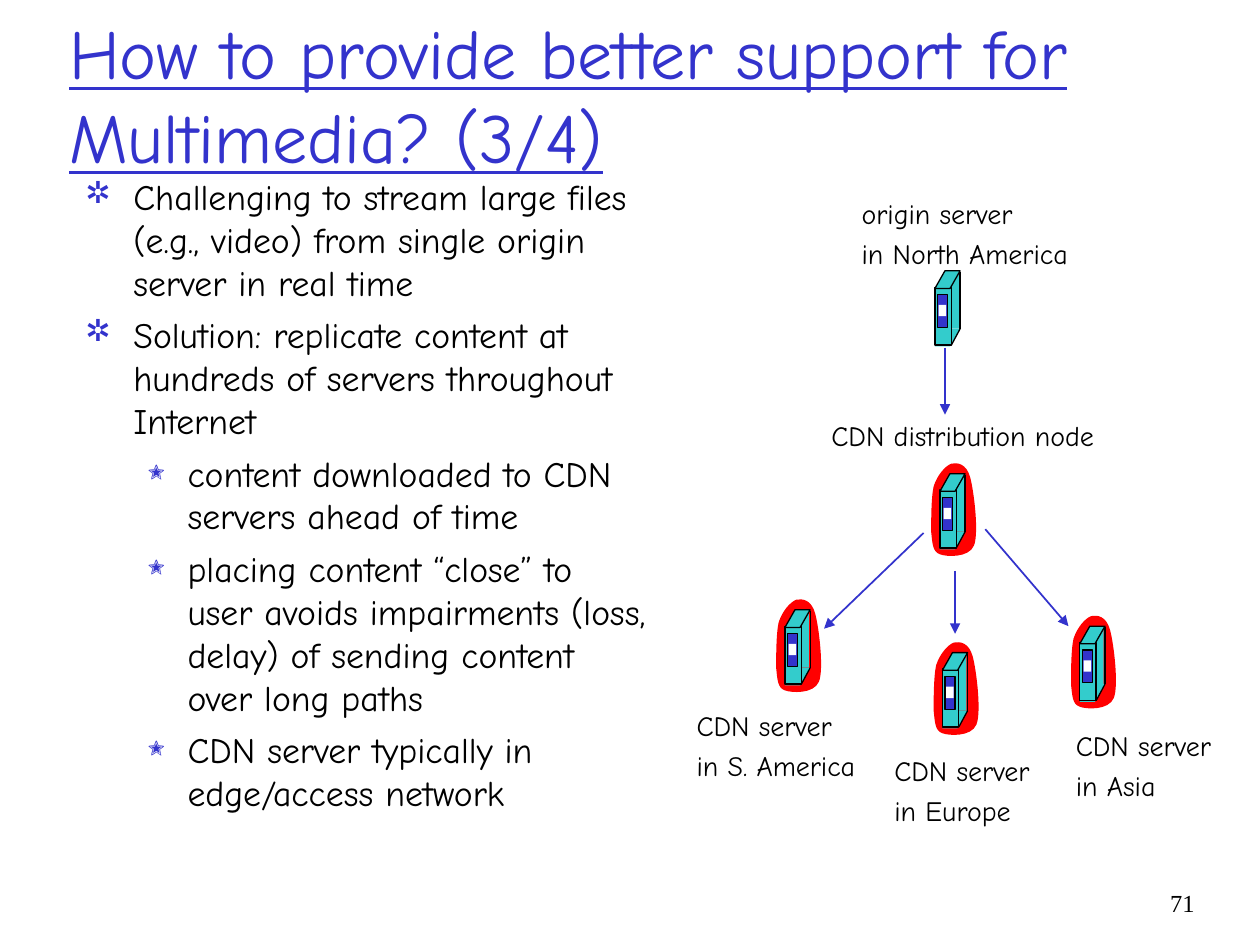
from lxml import etree
from pptx import Presentation
from pptx.dml.color import RGBColor
from pptx.enum import shapes, text
from pptx.oxml.ns import qn
from pptx.util import Inches, Pt

BLUE = RGBColor(0x33, 0x33, 0xCC)
TEAL = RGBColor(0x33, 0xCC, 0xCC)
RED = RGBColor(0xFF, 0, 0)
BLACK = RGBColor(0, 0, 0)
WHITE = RGBColor(0xFF, 0xFF, 0xFF)
FONT = "Comic Neue"

# Content
TITLE = "How to provide better support for Multimedia? (3/4)"
BULLETS = [  # level, text
    (0, "Challenging to stream large files (e.g., video) from single origin server in real time"),
    (0, "Solution: replicate content at hundreds of servers throughout Internet"),
    (1, "content downloaded to CDN servers ahead of time"),
    (1, "placing content “close” to user avoids impairments (loss, delay) of sending content "
        "over long paths"),
    (1, "CDN server typically in edge/access network"),
]
LEVELS = [  # character, size in percent, left margin, hanging indent
    ("❒", 85, 0.38, 0.38),
    ("❍", 75, 0.81, 0.31),
]
LABELS = [  # lines, left, top, width, height
    (["origin server", "in North America"], 6.74, 1.51, 1.86, 0.69),
    (["CDN distribution node"], 6.5, 3.27, 2.31, 0.37),
    (["CDN server", "in S. America"], 5.43, 5.57, 1.48, 0.69),
    (["CDN server", "in Europe"], 7, 5.93, 1.3, 0.69),
    (["CDN server", "in Asia"], 8.44, 5.73, 1.3, 0.69),
]
SERVERS = [  # left, top, has red halo
    (7.42, 2.15, False),
    (6.23, 4.84, True),
    (7.48, 5.18, True),
    (8.57, 4.97, True),
    (7.46, 3.76, True),
]
ARROWS = [  # from x, y, to x, y
    (7.5, 2.76, 7.5, 3.29),
    (7.33, 4.23, 6.54, 4.99),
    (7.58, 4.53, 7.58, 5.03),
    (7.82, 4.2, 8.48, 4.97),
]

# Server icon, measured from its top left corner
SLANT, RECT = shapes.MSO_SHAPE.PARALLELOGRAM, shapes.MSO_SHAPE.RECTANGLE
FACES = [  # shape, left, top, width, height, fill, outlined
    (SLANT, 0, 0.46, 0.2, 0.14, TEAL, False),
    (RECT, 0.1, 0, 0.09, 0.46, TEAL, False),
    (RECT, 0, 0.13, 0.13, 0.46, TEAL, True),
    (SLANT, 0, 0, 0.2, 0.14, TEAL, True),
]
EDGES = [(0.2, 0.01, 0.2, 0.46), (0.2, 0.46, 0.13, 0.59)]
PANEL = [
    (RECT, 0.02, 0.19, 0.08, 0.26, BLUE, True),
    (RECT, 0.03, 0.27, 0.06, 0.09, WHITE, False),
]
HALO_START = (-0.05, 0.1)
HALO_CURVES = [  # two control points and an end point per line
    (-0.02, 0.01), (0.04, -0.06), (0.09, -0.08),
    (0.14, -0.09), (0.21, -0.08), (0.24, 0.03),
    (0.27, 0.14), (0.31, 0.47), (0.27, 0.57),
    (0.23, 0.67), (0.05, 0.66), (0, 0.64),
    (-0.06, 0.62), (-0.06, 0.55), (-0.07, 0.46),
    (-0.07, 0.37), (-0.07, 0.19), HALO_START,
]


def write(para, words, size, color=BLACK, font=FONT, underline=None, before=0,
          align=text.PP_ALIGN.LEFT):
    span = para.add_run()
    span.text = words
    span.font.size, span.font.name = Pt(size), font
    span.font.color.rgb, span.font.underline = color, underline
    para.space_before, para.alignment = Pt(before), align


def write_lines(frame, lines, size, before):
    for i, line in enumerate(lines):
        para = frame.add_paragraph() if i else frame.paragraphs[0]
        write(para, line, size, before=before if i else 0)


def add_bullet(para, level):
    char, percent, margin, hang = LEVELS[level]
    para.level = level
    props = para._p.get_or_add_pPr()
    props.set("marL", str(Inches(margin)))
    props.set("indent", str(Inches(-hang)))
    color = etree.SubElement(props, qn("a:buClr"))
    etree.SubElement(color, qn("a:srgbClr"), val=str(BLUE))
    etree.SubElement(props, qn("a:buSzPct"), val=str(percent * 1000))
    etree.SubElement(props, qn("a:buFont"), typeface="ZapfDingbats")
    etree.SubElement(props, qn("a:buChar"), char=char)


def paint(shape, fill, outlined=False):
    shape.shadow.inherit = False
    shape.fill.solid()
    shape.fill.fore_color.rgb = fill
    if outlined:
        shape.line.color.rgb, shape.line.width = BLACK, Pt(0.75)
    else:
        shape.line.fill.background()


def add_line(parent, ends, color, width, arrow=False):
    line = parent.add_connector(shapes.MSO_CONNECTOR.STRAIGHT, *map(Inches, ends))
    line.line.color.rgb, line.line.width = color, Pt(width)
    if arrow:
        etree.SubElement(line.line._get_or_add_ln(), qn("a:tailEnd"), type="triangle")
    etree.SubElement(line._element.spPr, qn("a:effectLst"))


def add_halo(parts, left, top):
    start, *points = [(Inches(left + x), Inches(top + y)) for x, y in [HALO_START, *HALO_CURVES]]
    builder = parts.build_freeform(*start)
    builder.add_line_segments(points)
    halo = builder.convert_to_shape()
    # Turn every three line segments into one Bézier curve
    segments = list(halo._element.iter(qn("a:lnTo")))
    for first in range(0, len(points), 3):
        curve = etree.Element(qn("a:cubicBezTo"))
        segments[first].addprevious(curve)
        for segment in segments[first:first + 3]:
            curve.append(segment[0])
            segment.getparent().remove(segment)
    paint(halo, RED)


def add_server(page, left, top, halo):
    parts = page.shapes.add_group_shape().shapes

    def add_faces(faces):
        for kind, x, y, width, height, fill, outlined in faces:
            face = parts.add_shape(kind, *map(Inches, (left + x, top + y, width, height)))
            if kind == SLANT:
                face.adjustments[0] = 0.57
            paint(face, fill, outlined)

    if halo:
        add_halo(parts, left, top)
    add_faces(FACES)
    for x1, y1, x2, y2 in EDGES:
        add_line(parts, (left + x1, top + y1, left + x2, top + y2), BLACK, 0.75)
    add_faces(PANEL)


def main():
    deck = Presentation()
    deck.slide_width, deck.slide_height = Inches(10), Inches(7.5)
    page = deck.slides.add_slide(deck.slide_layouts[5])

    # Title
    title = page.shapes.title
    title.left, title.top, title.width, title.height = map(Inches, (0.45, 0.12, 8.78, 1.25))
    frame = title.text_frame
    frame.auto_size, frame.word_wrap = text.MSO_AUTO_SIZE.NONE, True
    frame.vertical_anchor = text.MSO_ANCHOR.MIDDLE
    write(frame.paragraphs[0], TITLE, 40, color=BLUE, underline=True)

    # Bullets
    frame = page.shapes.add_textbox(*map(Inches, (0.58, 1.34, 4.65, 5.37))).text_frame
    frame.word_wrap = True
    write_lines(frame, [words for _, words in BULLETS], 20.4, before=5.5)
    for para, (level, _) in zip(frame.paragraphs, BULLETS):
        add_bullet(para, level)

    # Distribution network
    for server in SERVERS:
        add_server(page, *server)
    for ends in ARROWS:
        add_line(page.shapes, ends, BLUE, 1, arrow=True)
    for lines, *place in LABELS:
        frame = page.shapes.add_textbox(*map(Inches, place)).text_frame
        frame.word_wrap = True
        write_lines(frame, lines, 16, before=4)

    # Page number
    frame = page.shapes.add_textbox(*map(Inches, (9.08, 7, 0.5, 0.5))).text_frame
    frame.word_wrap = True
    write(frame.paragraphs[0], "71", 14, font="Times New Roman", align=text.PP_ALIGN.RIGHT)

    deck.save("out.pptx")


if __name__ == "__main__":
    main()
